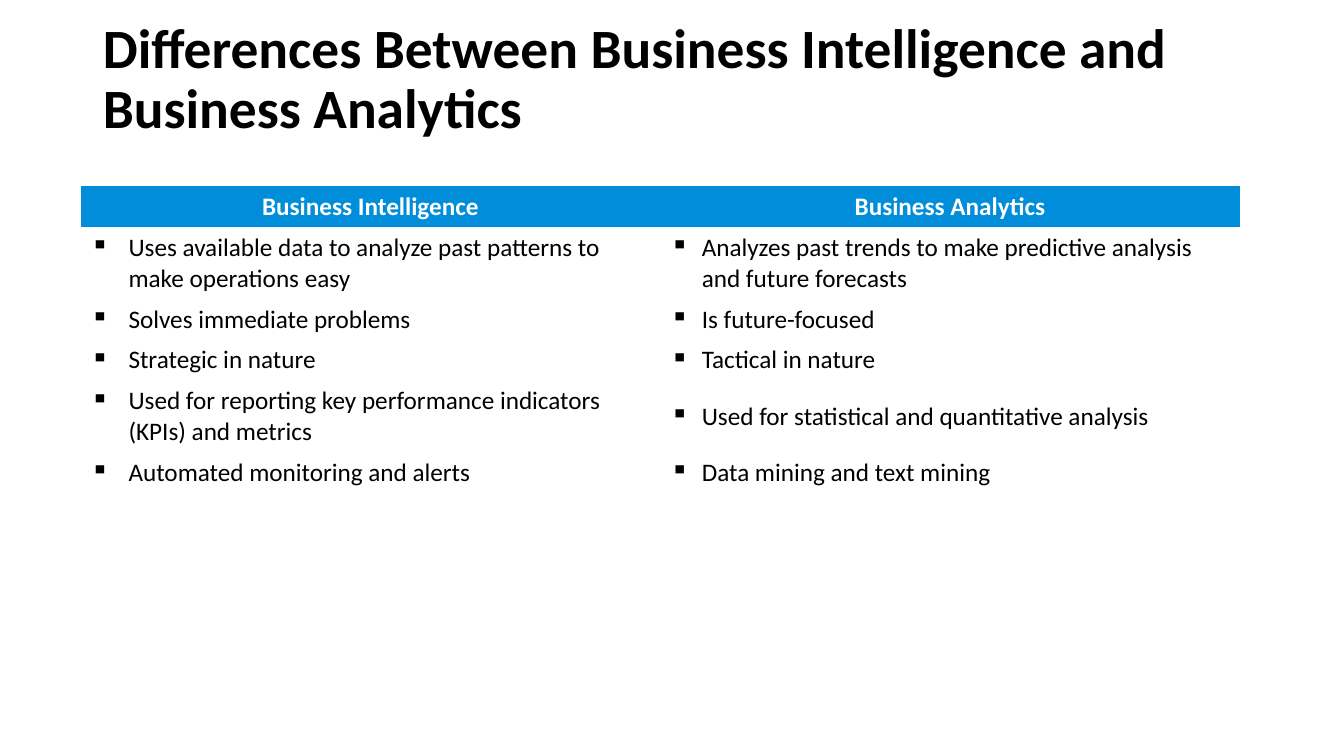
import pptx
import pptx.dml.color
import pptx.enum.text
import pptx.oxml.ns
import pptx.util
from lxml import etree

Pt = pptx.util.Pt
qn = pptx.oxml.ns.qn
MSO_ANCHOR = pptx.enum.text.MSO_ANCHOR
PP_ALIGN = pptx.enum.text.PP_ALIGN
NO_STYLE_NO_GRID = "{2D5ABB26-0587-4C30-8999-92F81FD0307C}"

TITLE = "Differences Between Business Intelligence and Business Analytics"
HEADERS = ("Business Intelligence", "Business Analytics")
# Row height, then the text of both columns
ROWS = [
    (51.2, "Uses available data to analyze past patterns to make operations easy",
     "Analyzes past trends to make predictive analysis and future forecasts"),
    (29.2, "Solves immediate problems", "Is future-focused"),
    (29.2, "Strategic in nature", "Tactical in nature"),
    (51.2, "Used for reporting key performance indicators (KPIs) and metrics",
     "Used for statistical and quantitative analysis"),
    (29.2, "Automated monitoring and alerts", "Data mining and text mining"),
]
HEADER_HEIGHT = 29.2
INDENTS = (27, 22.5)


def color(hex_code):
    return pptx.dml.color.RGBColor.from_string(hex_code)


class Deck:
    font, ink, white, accent = "Calibri", "000000", "FFFFFF", "008DD9"

    def __init__(self, prs):
        self.s = prs.slides.add_slide(prs.slide_layouts[5])

    def style(self, p, size, hex_code, bold, align):
        p.alignment = align
        p.font.name, p.font.size, p.font.bold = self.font, Pt(size), bold
        p.font.color.rgb = color(hex_code)

    def bullet(self, p, indent):
        pPr = p._p.get_or_add_pPr()
        pPr.set("marL", str(Pt(indent)))
        pPr.set("indent", str(-Pt(indent)))
        # Bullet elements come before the default run properties
        mark = etree.Element(qn("a:buChar"), char="▪")
        pPr.insert(0, mark)

    def title(self, text, x, y, w, h):
        sp = self.s.shapes.title
        sp.left, sp.top, sp.width, sp.height = Pt(x), Pt(y), Pt(w), Pt(h)
        tf = sp.text_frame
        tf.word_wrap = True
        tf.auto_size = pptx.enum.text.MSO_AUTO_SIZE.NONE
        tf.vertical_anchor = MSO_ANCHOR.MIDDLE
        p = tf.paragraphs[0]
        p.text = text
        p.add_line_break()
        p.line_spacing = 0.9
        self.style(p, 39.6, self.ink, True, PP_ALIGN.LEFT)

    def cell(self, cell, text, indent=None):
        cell.vertical_anchor = MSO_ANCHOR.MIDDLE
        p = cell.text_frame.paragraphs[0]
        p.text = text
        if indent is None:
            cell.fill.solid()
            cell.fill.fore_color.rgb = color(self.accent)
            self.style(p, 18, self.white, True, PP_ALIGN.CENTER)
        else:
            cell.fill.background()
            self.style(p, 18, self.ink, False, PP_ALIGN.LEFT)
            self.bullet(p, indent)

    def table(self, headers, rows, x, y, w):
        heights = [HEADER_HEIGHT] + [row[0] for row in rows]
        table = self.s.shapes.add_table(len(heights), len(headers), Pt(x), Pt(y),
                                        Pt(w), Pt(sum(heights))).table
        table._tbl.tblPr.find(qn("a:tableStyleId")).text = NO_STYLE_NO_GRID
        table.horz_banding = False
        for row, height in zip(table.rows, heights):
            row.height = Pt(height)
        for c, header in enumerate(headers):
            self.cell(table.cell(0, c), header)
            for r, row in enumerate(rows, 1):
                self.cell(table.cell(r, c), row[c + 1], INDENTS[c])


def main():
    prs = pptx.Presentation()
    prs.slide_width, prs.slide_height = Pt(960), Pt(540)
    deck = Deck(prs)

    # Heading
    deck.title(TITLE, 66.24, 28.8, 828, 104.4)

    # Comparison table
    deck.table(HEADERS, ROWS, 57.6, 133.2, 828)

    prs.save("out.pptx")


if __name__ == "__main__":
    main()
